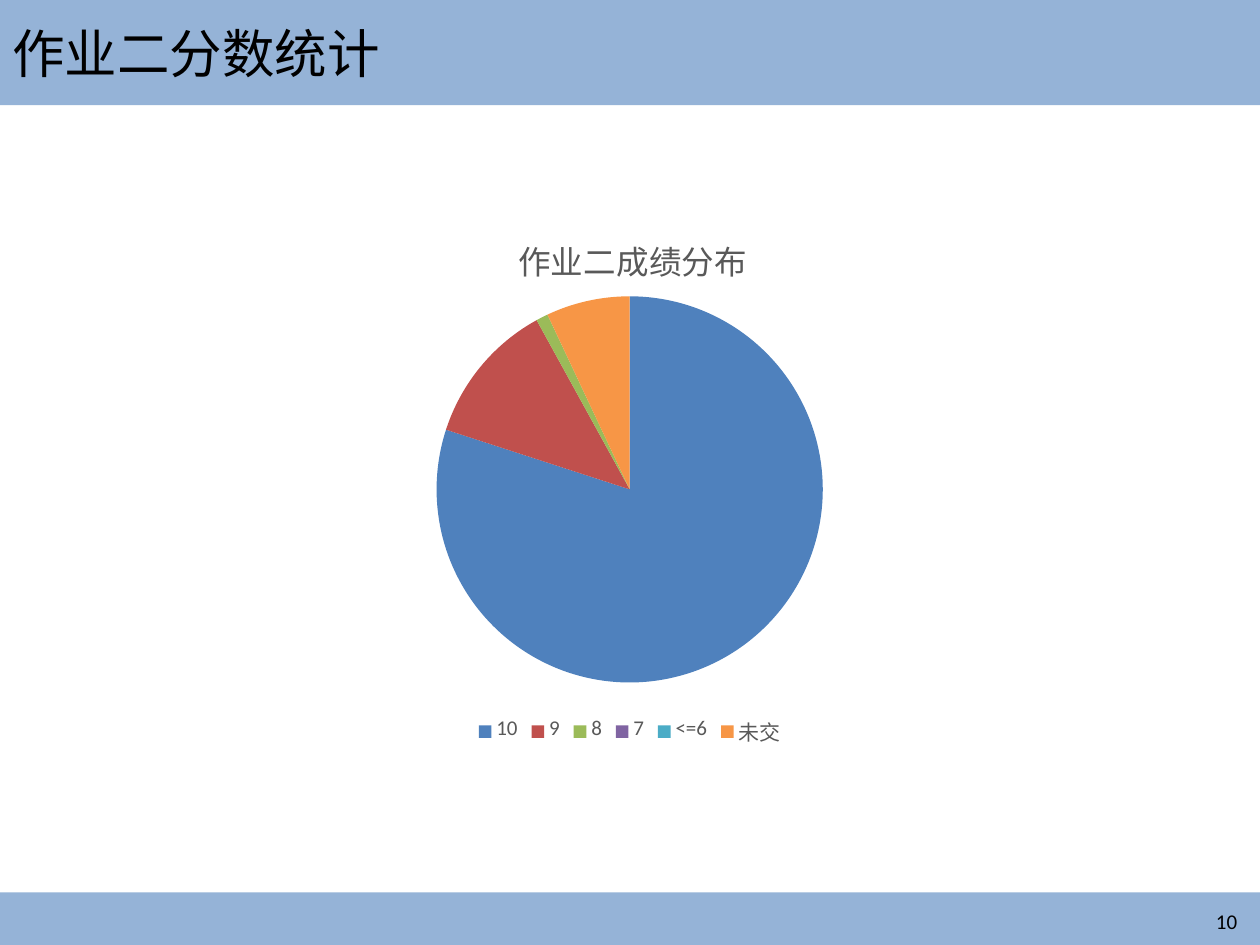
from dataclasses import dataclass

from lxml import etree
from pptx import Presentation
from pptx.chart.data import CategoryChartData
from pptx.dml.color import RGBColor
from pptx.enum.chart import XL_CHART_TYPE, XL_LEGEND_POSITION
from pptx.enum.shapes import MSO_SHAPE
from pptx.enum.text import MSO_ANCHOR, PP_ALIGN
from pptx.oxml.ns import qn
from pptx.util import Cm, Pt

PIE = XL_CHART_TYPE.PIE
BOTTOM = XL_LEGEND_POSITION.BOTTOM
RECT = MSO_SHAPE.RECTANGLE
TOP, MIDDLE = MSO_ANCHOR.TOP, MSO_ANCHOR.MIDDLE
LEFT, RIGHT = PP_ALIGN.LEFT, PP_ALIGN.RIGHT

FONT = "Calibri"
COLORS = {"band": "95B3D7", "text": "000000", "chart_text": "595959"}
SLICES = {
    "10": (80, "4F81BD"),
    "9": (12, "C0504D"),
    "8": (1, "9BBB59"),
    "7": (0, "8064A2"),
    "<=6": (0, "4BACC6"),
    "未交": (7, "F79646"),
}
WIDTH, HEIGHT = 25.4, 19.05
HEADER, FOOTER = 2.12, 1.06


@dataclass
class Box:
    left: float
    top: float
    width: float
    height: float

    def lengths(self) -> list:
        return [Cm(v) for v in (self.left, self.top, self.width, self.height)]


@dataclass
class Label:
    box: Box
    text: str
    size: float
    align: PP_ALIGN
    anchor: MSO_ANCHOR


BANDS = [
    Box(0, 0, WIDTH, HEADER),
    Box(0, HEIGHT - FOOTER, WIDTH, FOOTER),
]
LABELS = [
    Label(Box(0, 0, WIDTH, HEADER), "作业二分数统计", 30, LEFT, MIDDLE),
    Label(Box(19.26, 18.2, 5.93, 0.64), "10", 12, RIGHT, TOP),
]
CHART_BOX = Box(4.23, 3.89, 16.93, 11.28)


def style_font(font, size: float, color: str) -> None:
    for name, value in {"name": FONT, "size": Pt(size), "bold": False}.items():
        setattr(font, name, value)
    font.color.rgb = RGBColor.from_string(COLORS[color])


def add_band(s, box: Box) -> None:
    band = s.shapes.add_shape(RECT, *box.lengths())
    band.shadow.inherit = False
    band.fill.solid()
    band.fill.fore_color.rgb = RGBColor.from_string(COLORS["band"])
    band.line.fill.background()


def add_label(s, label: Label) -> None:
    tf = s.shapes.add_textbox(*label.box.lengths()).text_frame
    tf.word_wrap = True
    tf.vertical_anchor = label.anchor
    p = tf.paragraphs[0]
    p.alignment = label.align
    r = p.add_run()
    r.text = label.text
    style_font(r.font, label.size, "text")


def set_layout(parent, index: int, **values) -> None:
    """Place a chart part by fractions of the chart size.

    The index is where the layout element belongs among the part's children.
    """
    layout = parent.find(qn("c:layout"))
    if layout is not None:
        parent.remove(layout)
    layout = etree.Element(qn("c:layout"))
    parent.insert(index, layout)
    manual = etree.SubElement(layout, qn("c:manualLayout"))
    for name, value in values.items():
        etree.SubElement(manual, qn(f"c:{name}")).set("val", str(value))


def add_score_chart(s) -> None:
    data = CategoryChartData()
    data.categories = list(SLICES)
    data.add_series("Series 1", [value for value, _ in SLICES.values()])
    chart = s.shapes.add_chart(PIE, *CHART_BOX.lengths(), data).chart
    style_font(chart.font, 10, "text")

    chart.has_title = True
    title = chart.chart_title
    r = title.text_frame.paragraphs[0].add_run()
    r.text = "作业二成绩分布"
    style_font(r.font, 18.6, "chart_text")
    set_layout(title._element, 1, xMode="edge", yMode="edge", x=0.36, y=0.06)

    chart.has_legend = True
    chart.legend.position = BOTTOM
    chart.legend.include_in_layout = False
    style_font(chart.legend.font, 12, "chart_text")

    plot = chart.plots[0]
    plot.vary_by_categories = True
    for i, (_, color) in enumerate(SLICES.values()):
        fill = plot.series[0].points[i].format.fill
        fill.solid()
        fill.fore_color.rgb = RGBColor.from_string(color)

    area = chart.element.find(".//" + qn("c:plotArea"))
    set_layout(area, 0, layoutTarget="inner", xMode="edge", yMode="edge",
               x=0.27, y=0.18, w=0.46, h=0.7)


def main() -> None:
    prs = Presentation()
    prs.slide_width, prs.slide_height = Cm(WIDTH), Cm(HEIGHT)
    s = prs.slides.add_slide(prs.slide_layouts[6])
    for band in BANDS:
        add_band(s, band)
    for label in LABELS:
        add_label(s, label)
    add_score_chart(s)
    prs.save("out.pptx")


if __name__ == "__main__":
    main()
